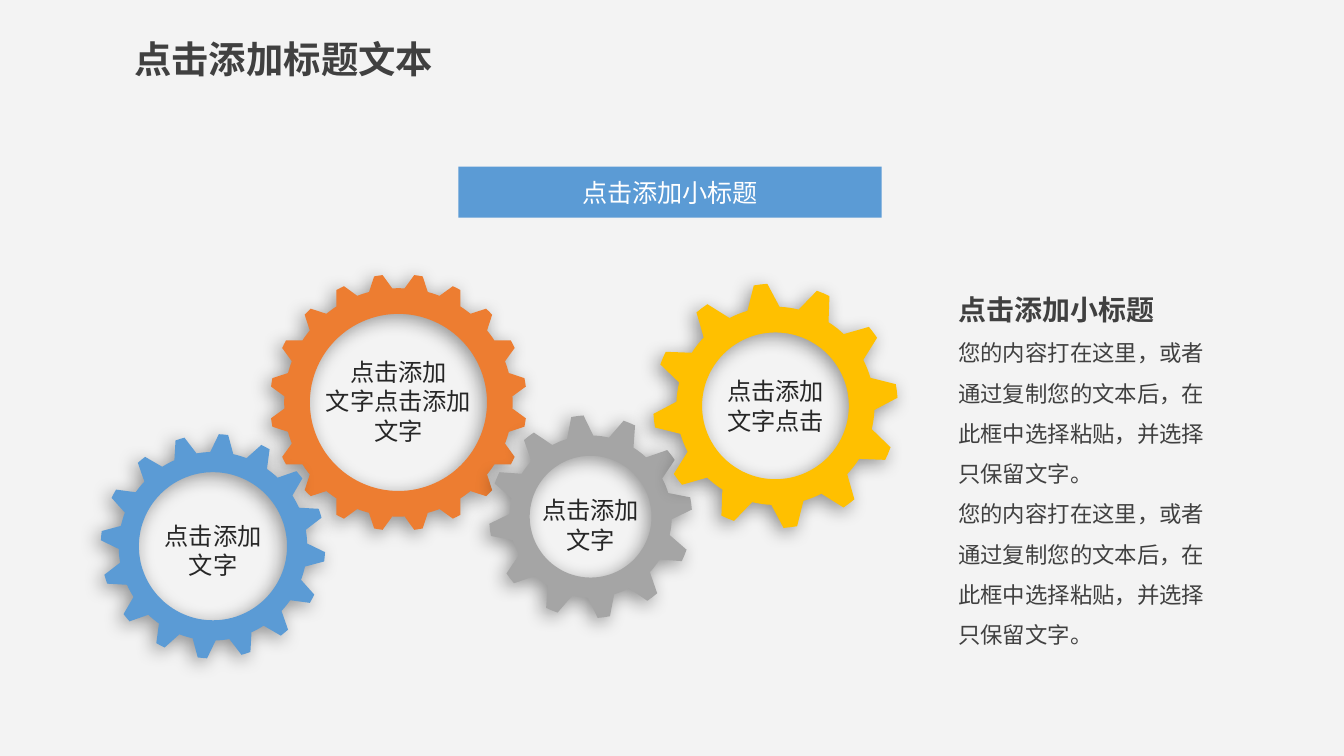
from dataclasses import dataclass
from math import cos, radians, sin

from lxml import etree
from pptx import Presentation
from pptx.dml.color import RGBColor
from pptx.enum.shapes import MSO_SHAPE
from pptx.enum.text import MSO_ANCHOR, MSO_AUTO_SIZE, PP_ALIGN
from pptx.oxml.ns import qn
from pptx.util import Inches, Pt

RECTANGLE = MSO_SHAPE.RECTANGLE
TOP, MIDDLE = MSO_ANCHOR.TOP, MSO_ANCHOR.MIDDLE
LEFT, CENTER = PP_ALIGN.LEFT, PP_ALIGN.CENTER
FIT_SHAPE = MSO_AUTO_SIZE.SHAPE_TO_FIT_TEXT

CELL = Inches(0.1)  # one column or row of the slide grid
COLUMNS, ROWS = 100, 56.25


@dataclass(frozen=True)
class Theme:
    """Colours, font and type sizes of the slide."""
    font: str = "Noto Sans CJK SC"
    background: str = "F3F3F3"
    heading: str = "404040"
    label: str = "262626"
    light: str = "FFFFFF"
    blue: str = "5B9BD5"
    orange: str = "ED7D31"
    grey: str = "A5A5A5"
    yellow: str = "FFC000"
    title_size: float = 20
    subtitle_size: float = 15
    banner_size: float = 13.5
    label_size: float = 13
    body_size: float = 12


@dataclass(frozen=True)
class Gear:
    """Gear in a square box; radii are shares of the outer radius, angles in degrees."""
    left: float
    top: float
    size: float
    color: str
    teeth: int
    first_tooth: float
    half_tip: float
    half_root: float
    root: float
    hole: float
    lines: tuple
    label_width: float
    label_shift: float


THEME = Theme()
GEARS = (
    Gear(20.1, 20.4, 19.1, THEME.orange, 20, 9, 1.9, 3.1, 0.89, 0.69,
         ("点击添加", "文字点击添加", "文字"), 13.1, -0.1),
    Gear(36.4, 30.9, 15.1, THEME.grey, 12, -7.5, 3.5, 5.6, 0.8, 0.6,
         ("点击添加", "文字"), 9.2, 0.6),
    Gear(7.5, 32.3, 16.7, THEME.blue, 16, 5.4, 2.4, 4.2, 0.84, 0.66,
         ("点击添加", "文字"), 9.2, 0.3),
    Gear(48.6, 21.1, 18.2, THEME.yellow, 12, -7, 3.2, 5.6, 0.81, 0.6,
         ("点击添加", "文字点击"), 13.1, 0),
)


def grid(*lengths):
    """Turn grid cells into slide lengths."""
    return [round(length * CELL) for length in lengths]


def set_frame(frame, anchor=TOP, insets=(0.7, 0.4), wrap=True):
    """Set the wrapping, anchor and insets of a text frame."""
    frame.word_wrap = wrap
    frame.vertical_anchor = anchor
    horizontal, vertical = grid(*insets)
    frame.margin_left = frame.margin_right = horizontal
    frame.margin_top = frame.margin_bottom = vertical


def write(frame, lines, color, align=LEFT, spacing=None):
    """Fill a frame with one paragraph for each (text, size, bold)."""
    for index, (text, size, bold) in enumerate(lines):
        paragraph = frame.add_paragraph() if index else frame.paragraphs[0]
        paragraph.alignment = align
        if spacing:
            paragraph.line_spacing = spacing
        run = paragraph.add_run()
        run.text = text
        run.font.size, run.font.bold = Pt(size), bold
        run.font.color.rgb = RGBColor.from_string(color)
        run.font.name = THEME.font
        east_asian = etree.SubElement(run.font._element, qn("a:ea"))
        east_asian.set("typeface", THEME.font)


def add_text(slide, box, lines, color, align=LEFT, spacing=None, **frame_options):
    """Add a text box that fits its text."""
    frame = slide.shapes.add_textbox(*grid(*box)).text_frame
    set_frame(frame, **frame_options)
    frame.auto_size = FIT_SHAPE
    write(frame, lines, color, align, spacing)


def paint(shape, color):
    """Give a shape a plain fill without line or shadow."""
    shape.shadow.inherit = False
    shape.fill.solid()
    shape.fill.fore_color.rgb = RGBColor.from_string(color)
    shape.line.fill.background()


def add_soft_shadow(shape):
    """Cast a soft black shadow to the lower left."""
    effects = shape._element.spPr.find(qn("a:effectLst"))
    shadow = etree.SubElement(effects, qn("a:outerShdw"), blurRad=str(Pt(10)),
                              dist=str(Pt(3)), dir="8100000", algn="tr", rotWithShape="0")
    black = etree.SubElement(shadow, qn("a:srgbClr"), val="000000")
    etree.SubElement(black, qn("a:alpha"), val="40000")


def add_banner(slide, box, text):
    """Add the blue subtitle bar."""
    banner = slide.shapes.add_shape(RECTANGLE, *grid(*box))
    paint(banner, THEME.blue)
    set_frame(banner.text_frame, anchor=MIDDLE)
    write(banner.text_frame, [(text, THEME.banner_size, False)], THEME.light, CENTER)


def add_gear_label(slide, gear):
    """Centre the label in the hole of its gear."""
    height = 0.7 + 2.3 * len(gear.lines)
    box = (gear.left + (gear.size - gear.label_width) / 2,
           gear.top + (gear.size - height) / 2 + gear.label_shift,
           gear.label_width, height)
    lines = [(line, THEME.label_size, False) for line in gear.lines]
    add_text(slide, box, lines, THEME.label, CENTER, anchor=MIDDLE)


def add_gear(slide, gear):
    """Draw a toothed ring from its tooth count and radii."""
    radius = gear.size / 2

    def point(angle, share):
        """Place a point by clockwise angle from the top and share of the radius."""
        turn = radians(angle)
        return grid(gear.left + radius * (1 + share * sin(turn)),
                    gear.top + radius * (1 - share * cos(turn)))

    pitch = 360 / gear.teeth
    outline = []
    for tooth in range(gear.teeth):
        middle = gear.first_tooth + tooth * pitch
        outline += [point(middle + step * gear.half_tip, 1) for step in (-1, 0, 1)]
        outline += [point(middle + pitch / 2 + step * gear.half_root, gear.root)
                    for step in (-1, -0.5, 0, 0.5, 1)]
    hole = [point(-angle, gear.hole) for angle in range(0, 360, 3)]

    builder = slide.shapes.build_freeform(*outline[0])
    builder.add_line_segments(outline[1:], close=True)
    builder.move_to(*hole[0])
    builder.add_line_segments(hole[1:], close=True)
    shape = builder.convert_to_shape()
    paint(shape, gear.color)
    add_soft_shadow(shape)


def build_gear_slide(presentation):
    """Build the slide with title, banner, four gears and side text."""
    slide = presentation.slides.add_slide(presentation.slide_layouts[6])
    slide.background.fill.solid()
    slide.background.fill.fore_color.rgb = RGBColor.from_string(THEME.background)
    add_text(slide, (9, 2.2, 24.5, 4.4), [("点击添加标题文本", THEME.title_size, True)],
             THEME.heading, insets=(1, 0.5), wrap=False)
    for gear in GEARS:
        add_gear_label(slide, gear)
    body = "您的内容打在这里，或者通过复制您的文本后，在此框中选择粘贴，并选择只保留文字。"
    lines = [("点击添加小标题", THEME.subtitle_size, True)]
    lines += [(body, THEME.body_size, False)] * 2
    add_text(slide, (70.6, 20.1, 21.3, 28.8), lines, THEME.heading, spacing=1.5)
    for gear in GEARS:
        add_gear(slide, gear)
    add_banner(slide, (34.1, 12.4, 31.5, 3.8), "点击添加小标题")


presentation = Presentation()
presentation.slide_width, presentation.slide_height = grid(COLUMNS, ROWS)
build_gear_slide(presentation)
presentation.save("out.pptx")
